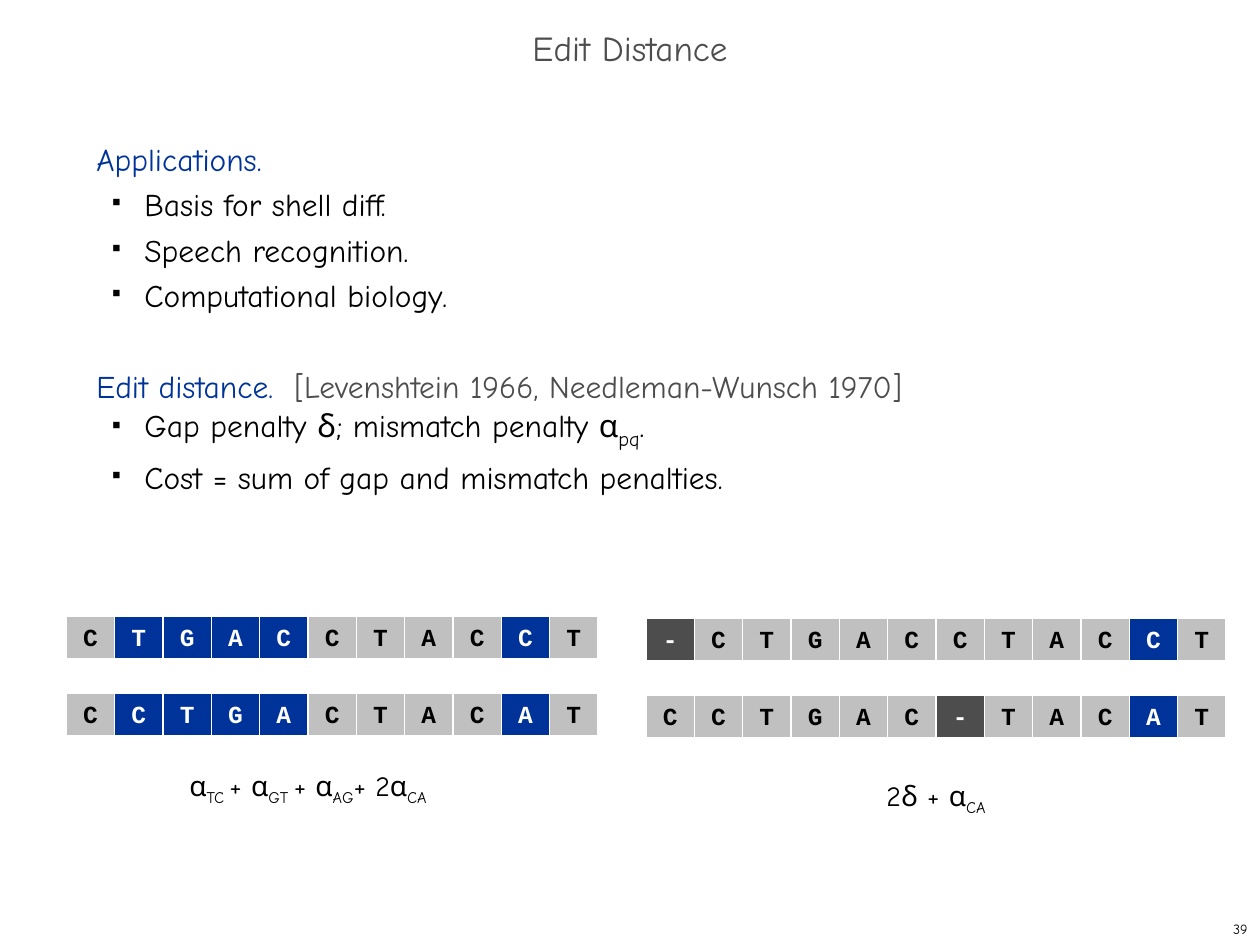
from pptx import Presentation
from pptx.dml.color import RGBColor
from pptx.enum.shapes import MSO_SHAPE
from pptx.enum.text import MSO_ANCHOR as Anchor, PP_ALIGN as Align
from pptx.oxml.ns import qn
from pptx.util import Pt
from lxml.etree import SubElement

BLACK = RGBColor(0x00, 0x00, 0x00)
WHITE = RGBColor(0xFF, 0xFF, 0xFF)
BLUE = RGBColor(0x00, 0x33, 0x99)
SILVER = RGBColor(0xC0, 0xC0, 0xC0)
GRAY = RGBColor(0x4D, 0x4D, 0x4D)
SANS, MONO = "Comic Neue", "Courier New"

TITLE = "Edit Distance"
PAGE = "39"

SECTIONS = [
    {
        "heading": [("Applications.", BLUE)],
        "bullets": [
            [("Basis for shell diff.", None)],
            [("Speech recognition.", None)],
            [("Computational biology.", None)],
        ],
    },
    {
        "heading": [
            ("Edit distance.  ", BLUE),
            ("[Levenshtein 1966, Needleman-Wunsch 1970]", GRAY),
        ],
        "bullets": [
            [("Gap penalty δ; mismatch penalty α", None), ("pq", 20), (".", None)],
            [("Cost = sum of gap and mismatch penalties.", None)],
        ],
    },
]

ALIGNMENTS = [
    {
        "left": 18, "top": 616, "cost_top": 762,
        "strings": ("CTGACCTACCT", "CCTGACTACAT"),
        "cost": [("α", None), ("TC ", 16), ("+ α", None), ("GT ", 16),
                 ("+ α", None), ("AG", 16), ("+ 2α", None), ("CA", 16)],
    },
    {
        "left": 646, "top": 618, "cost_top": 772,
        "strings": ("-CTGACCTACCT", "CCTGAC-TACAT"),
        "cost": [("2δ + α", None), ("CA", 16)],
    },
]

SLOTS, ALIGNMENT_WIDTH = 12, 580
CELL_HEIGHT, ROW_STEP, COST_HEIGHT = 43, 77, 48
LINE = Pt(26)


def px(length):
    return round(length * 914400 / 126)


def add_text_box(slide, left, top, width, height):
    box = slide.shapes.add_textbox(px(left), px(top), px(width), px(height))
    box.text_frame.word_wrap = True
    return box.text_frame


def style(paragraph, face, size, color=None, bold=None, align=None):
    font = paragraph.font
    font.name, font.size, font.bold = face, Pt(size), bold
    if color is not None:
        font.color.rgb = color
    paragraph.alignment = align


def add_formula(paragraph, parts):
    for text, subscript_size in parts:
        run = paragraph.add_run()
        run.text = text
        if subscript_size:
            run.font.size = Pt(subscript_size)
            run._r.get_or_add_rPr().set("baseline", "-25000")


def add_bullet(paragraph):
    paragraph.level = 1
    properties = paragraph._p.get_or_add_pPr()
    properties.set("marL", str(px(48)))
    properties.set("indent", str(-px(32)))
    color = SubElement(properties, qn("a:buClr"))
    SubElement(color, qn("a:srgbClr"), val=str(BLACK))
    SubElement(properties, qn("a:buSzPct"), val="35000")
    SubElement(properties, qn("a:buChar"), char="■")


def add_rectangle(slide, left, top, width, height, fill=None):
    rectangle = slide.shapes.add_shape(
        MSO_SHAPE.RECTANGLE, px(left), px(top), px(width), px(height))
    rectangle.shadow.inherit = False
    if fill is None:
        rectangle.fill.background()
    else:
        rectangle.fill.solid()
        rectangle.fill.fore_color.rgb = fill
    rectangle.line.color.rgb = WHITE
    rectangle.line.width = Pt(0.75)
    rectangle.text_frame.vertical_anchor = Anchor.TOP
    return rectangle.text_frame.paragraphs[0]


def add_sections(slide):
    body = add_text_box(slide, 84, 126, 1081, 746)
    paragraph = body.paragraphs[0]
    for index, section in enumerate(SECTIONS):
        if index:
            paragraph = body.add_paragraph()
            paragraph.space_before = LINE
        paragraph.line_spacing = LINE
        for text, color in section["heading"]:
            run = paragraph.add_run()
            run.text = text
            run.font.color.rgb = color
        style(paragraph, SANS, 18)
        for parts in section["bullets"]:
            paragraph = body.add_paragraph()
            paragraph.line_spacing = LINE
            add_bullet(paragraph)
            add_formula(paragraph, parts)
            style(paragraph, SANS, 18, BLACK)


def cell_color(letter, partner):
    if letter == "-":
        return GRAY
    return SILVER if partner in (letter, "-") else BLUE


def add_alignment(slide, alignment):
    left = alignment["left"]
    cost = add_rectangle(slide, left, alignment["cost_top"], ALIGNMENT_WIDTH, COST_HEIGHT)
    add_formula(cost, alignment["cost"])
    style(cost, SANS, 16, BLACK, align=Align.CENTER)

    pitch = ALIGNMENT_WIDTH / SLOTS
    upper, lower = alignment["strings"]
    first_slot = SLOTS - len(upper)
    for row, (string, other) in enumerate([(upper, lower), (lower, upper)]):
        top = alignment["top"] + row * ROW_STEP
        for slot, (letter, partner) in enumerate(zip(string, other), first_slot):
            fill = cell_color(letter, partner)
            cell = add_rectangle(slide, left + slot * pitch, top, pitch, CELL_HEIGHT, fill)
            cell.text = letter
            style(cell, MONO, 14, BLACK if fill == SILVER else WHITE, True, Align.CENTER)


def main():
    deck = Presentation()
    deck.slide_width, deck.slide_height = px(1260), px(945)
    slide = deck.slides.add_slide(deck.slide_layouts[6])

    title = add_text_box(slide, 0, 21, 1260, 63)
    title.vertical_anchor = Anchor.MIDDLE
    title.text = TITLE
    title.paragraphs[0].line_spacing = 0.7
    style(title.paragraphs[0], SANS, 20, GRAY, align=Align.CENTER)

    add_sections(slide)
    for alignment in ALIGNMENTS:
        add_alignment(slide, alignment)

    page = add_text_box(slide, 998, 913, 262, 32)
    page.vertical_anchor = Anchor.MIDDLE
    page.text = PAGE
    style(page.paragraphs[0], SANS, 8, BLACK, align=Align.RIGHT)

    deck.save("out.pptx")


if __name__ == "__main__":
    main()
